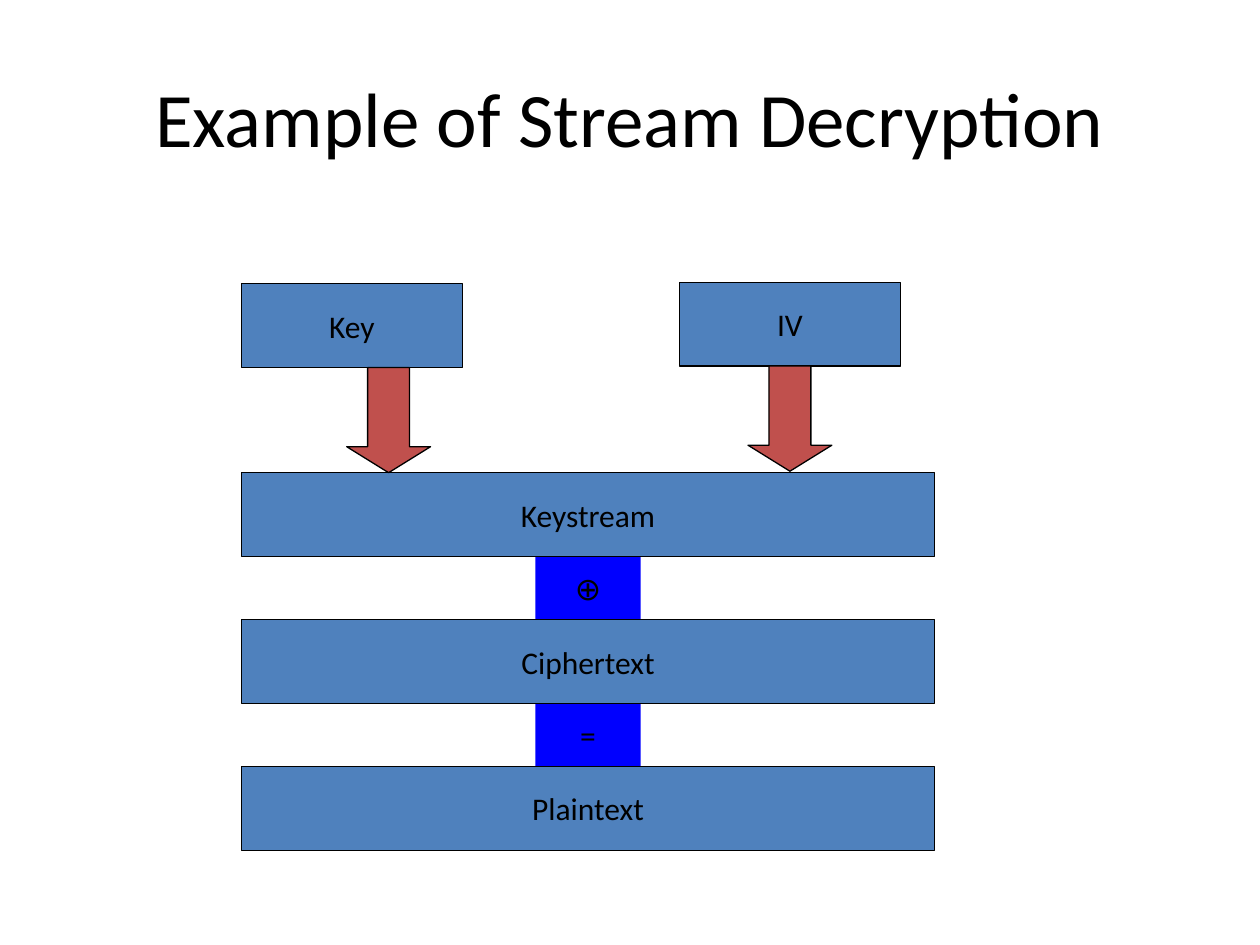
from dataclasses import dataclass

from pptx import Presentation
from pptx.dml.color import RGBColor
from pptx.enum.shapes import MSO_SHAPE
from pptx.enum.text import MSO_ANCHOR, PP_ALIGN
from pptx.util import Cm, Pt

RECT = MSO_SHAPE.RECTANGLE
DOWN = MSO_SHAPE.DOWN_ARROW
MIDDLE = MSO_ANCHOR.MIDDLE
CENTER = PP_ALIGN.CENTER


@dataclass(frozen=True)
class Theme:
    font: str = "Calibri"
    ink: str = "000000"
    box: str = "4F81BD"
    link: str = "0000FF"
    arrow: str = "C0504D"
    head: int = 44
    label: int = 18
    rule: float = 0.75


class Deck:
    def __init__(self, theme, slide):
        self.theme = theme
        self.slide = slide

    def letter(self, frame, text, size):
        frame.text = text
        frame.vertical_anchor = MIDDLE
        par = frame.paragraphs[0]
        par.alignment = CENTER
        par.font.name = self.theme.font
        par.font.size = Pt(size)
        par.font.color.rgb = RGBColor.from_string(self.theme.ink)

    def title(self, text, *area):
        shape = self.slide.shapes.title
        shape.left, shape.top, shape.width, shape.height = map(Cm, area)
        self.letter(shape.text_frame, text, self.theme.head)

    def shape(self, kind, fill, area, lined=True):
        shape = self.slide.shapes.add_shape(kind, *map(Cm, area))
        shape.shadow.inherit = False
        shape.fill.solid()
        shape.fill.fore_color.rgb = RGBColor.from_string(fill)
        if lined:
            shape.line.color.rgb = RGBColor.from_string(self.theme.ink)
            shape.line.width = Pt(self.theme.rule)
        else:
            shape.line.fill.background()
        return shape

    def label(self, shape, text):
        shape.text_frame.word_wrap = False
        self.letter(shape.text_frame, text, self.theme.label)

    def box(self, text, *area):
        self.label(self.shape(RECT, self.theme.box, area), text)

    def link(self, text, *area):
        self.label(self.shape(RECT, self.theme.link, area, False), text)

    def arrow(self, *area):
        shape = self.shape(DOWN, self.theme.arrow, area)
        shape.adjustments[0] = 0.5
        shape.adjustments[1] = 0.31


def main():
    show = Presentation()
    show.slide_width, show.slide_height = Cm(25.4), Cm(19.05)
    deck = Deck(Theme(), show.slides.add_slide(show.slide_layouts[5]))
    deck.title("Example of Stream Decryption", 1.27, 0.76, 22.86, 3.18)

    left, top, wide, high = 4.87, 9.53, 13.97, 1.69
    gap, span = 1.27, 2.12
    step = high + gap
    mid = left + wide / 2

    for row, sign in enumerate(("⊕", "=")):
        deck.link(sign, mid - span / 2, top + high + row * step, span, gap)
    for row, name in enumerate(("Keystream", "Ciphertext", "Plaintext")):
        deck.box(name, left, top + row * step, wide, high)

    inputs = (("Key", left, 5.72, 6.99), ("IV", 13.7, 5.69, 15.08))
    for name, x, y, tip in inputs:
        deck.box(name, x, y, 4.45, high)
        deck.arrow(tip, y + high, high, span)

    show.save("out.pptx")


if __name__ == "__main__":
    main()
